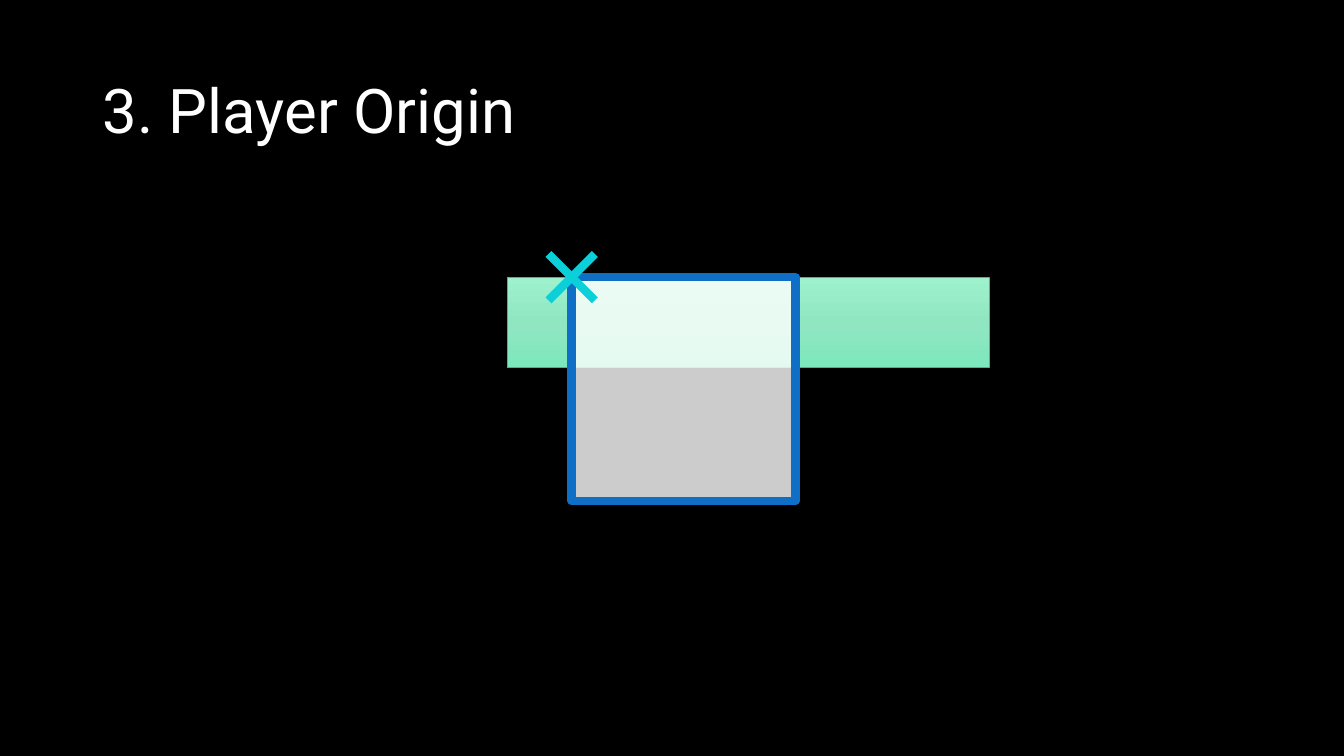
from dataclasses import dataclass

from lxml import etree
from pptx import Presentation
from pptx import util as u
from pptx.dml.color import RGBColor
from pptx.enum import shapes, text
from pptx.oxml import parse_xml
from pptx.oxml.ns import nsdecls, qn


@dataclass(frozen=True)
class Theme:
    """Colours, font and sizes of the slide."""
    background: str = "000000"
    title: str = "FFFFFF"
    font: str = "Roboto"
    title_size: int = 44
    platform_stops: tuple = ((0, "9EF1CD"), (50, "91E6C2"), (100, "7CE8BC"))
    platform_line: str = "10CF9B"
    player_fill: str = "FFFFFF"
    player_alpha: int = 80
    player_line: str = "0F6FC6"
    origin: str = "0BD0D9"
    thin: float = 0.5
    thick: float = 6


THEME = Theme()


def set_line(sp, color, width):
    """Give a shape or connector a solid line."""
    sp.line.color.rgb = RGBColor.from_string(color)
    sp.line.width = u.Pt(width)


def add_title(slide, words):
    """Place and format the title placeholder."""
    sp = slide.shapes.title
    sp.left, sp.top = u.Inches(0.92), u.Inches(0.4)
    sp.width, sp.height = u.Inches(11.5), u.Inches(1.45)
    tf = sp.text_frame
    tf.auto_size = text.MSO_AUTO_SIZE.NONE
    tf.word_wrap = True
    tf.vertical_anchor = text.MSO_ANCHOR.MIDDLE
    p = tf.paragraphs[0]
    p.alignment = text.PP_ALIGN.LEFT
    p.line_spacing = 0.9
    r = p.add_run()
    r.text = words
    r.font.name = THEME.font
    r.font.size = u.Pt(THEME.title_size)
    r.font.color.rgb = RGBColor.from_string(THEME.title)


def add_rect(parent, left, top, width, height, line, weight):
    """Add an outlined rectangle without a shadow."""
    sp = parent.shapes.add_shape(
        shapes.MSO_SHAPE.RECTANGLE, u.Inches(left), u.Inches(top),
        u.Inches(width), u.Inches(height))
    sp.shadow.inherit = False
    set_line(sp, line, weight)
    return sp


def fill_gradient(sp, stops):
    """Fill a shape with a gradient running from top to bottom."""
    marks = "".join(
        f'<a:gs pos="{pos * 1000}"><a:srgbClr val="{color}"/></a:gs>'
        for pos, color in stops)
    grad = parse_xml(
        f'<a:gradFill {nsdecls("a")} rotWithShape="1"><a:gsLst>{marks}</a:gsLst>'
        '<a:lin ang="5400000" scaled="0"/></a:gradFill>')
    sp._element.spPr.find(qn("a:prstGeom")).addnext(grad)


def fill_translucent(sp, color, alpha):
    """Fill a shape with a partly transparent colour."""
    sp.fill.solid()
    sp.fill.fore_color.rgb = RGBColor.from_string(color)
    clr = sp._element.spPr.find(qn("a:solidFill")).find(qn("a:srgbClr"))
    etree.SubElement(clr, qn("a:alpha"), val=str(alpha * 1000))


def add_cross(parent, x, y, reach):
    """Mark a point with two crossing diagonal lines."""
    for rise in (-reach, reach):
        sp = parent.shapes.add_connector(
            shapes.MSO_CONNECTOR.STRAIGHT, u.Inches(x - reach), u.Inches(y + rise),
            u.Inches(x + reach), u.Inches(y - rise))
        set_line(sp, THEME.origin, THEME.thick)
        etree.SubElement(sp._element.spPr, qn("a:effectLst"))


def add_player(slide, left, top, side):
    """Add the player square with its origin marked at the top left corner."""
    group = slide.shapes.add_group_shape()
    sp = add_rect(group, left, top, side, side, THEME.player_line, THEME.thick)
    fill_translucent(sp, THEME.player_fill, THEME.player_alpha)
    add_cross(group, left, top, 0.23)


def main():
    """Build and save the slide."""
    prs = Presentation()
    prs.slide_width, prs.slide_height = u.Inches(13.33), u.Inches(7.5)
    slide = prs.slides.add_slide(prs.slide_layouts[5])
    slide.background.fill.solid()
    slide.background.fill.fore_color.rgb = RGBColor.from_string(THEME.background)
    add_title(slide, "3. Player Origin")
    platform = add_rect(slide, 5.03, 2.75, 4.78, 0.9, THEME.platform_line, THEME.thin)
    fill_gradient(platform, THEME.platform_stops)
    add_player(slide, 5.67, 2.75, 2.22)
    prs.save("out.pptx")


main()
